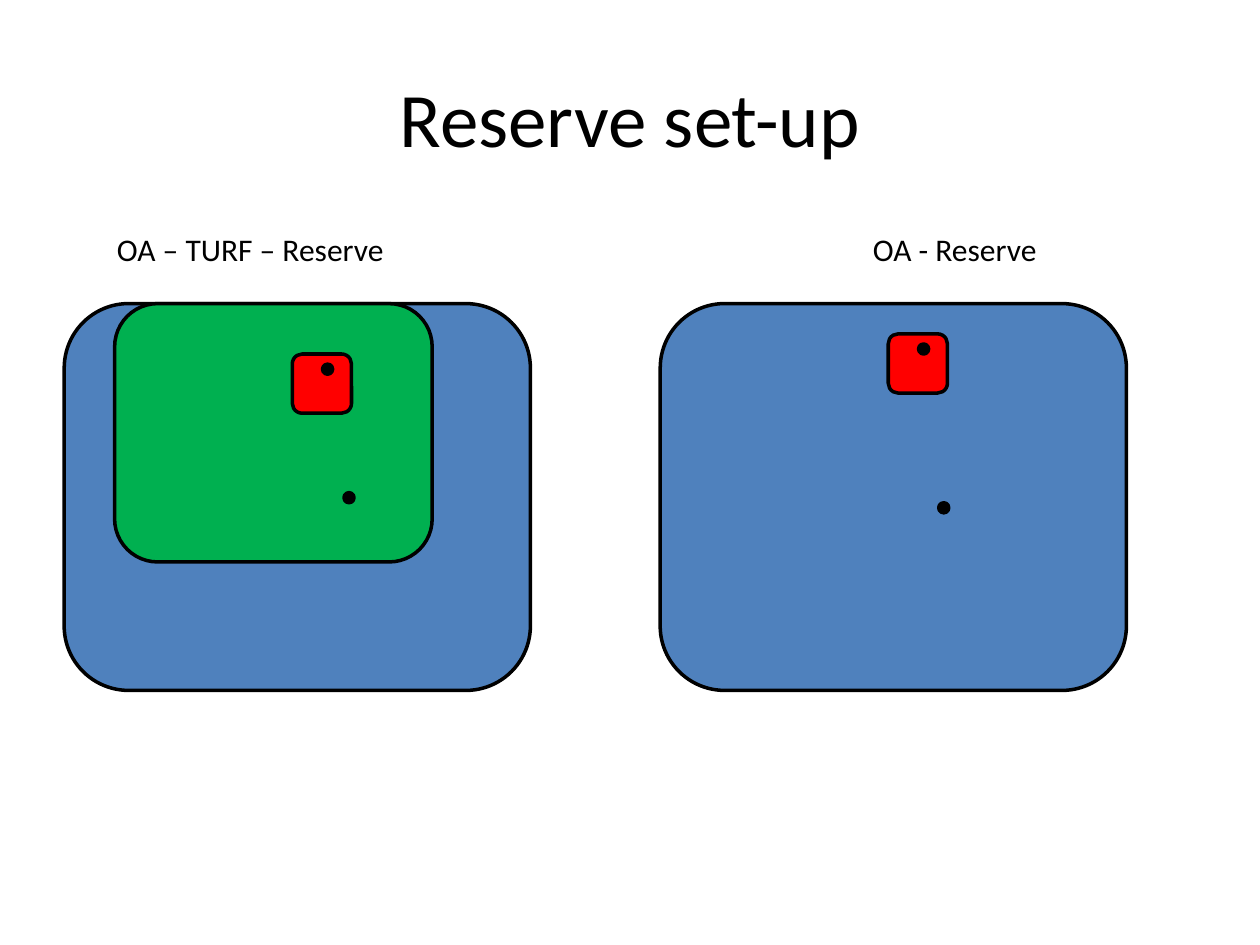
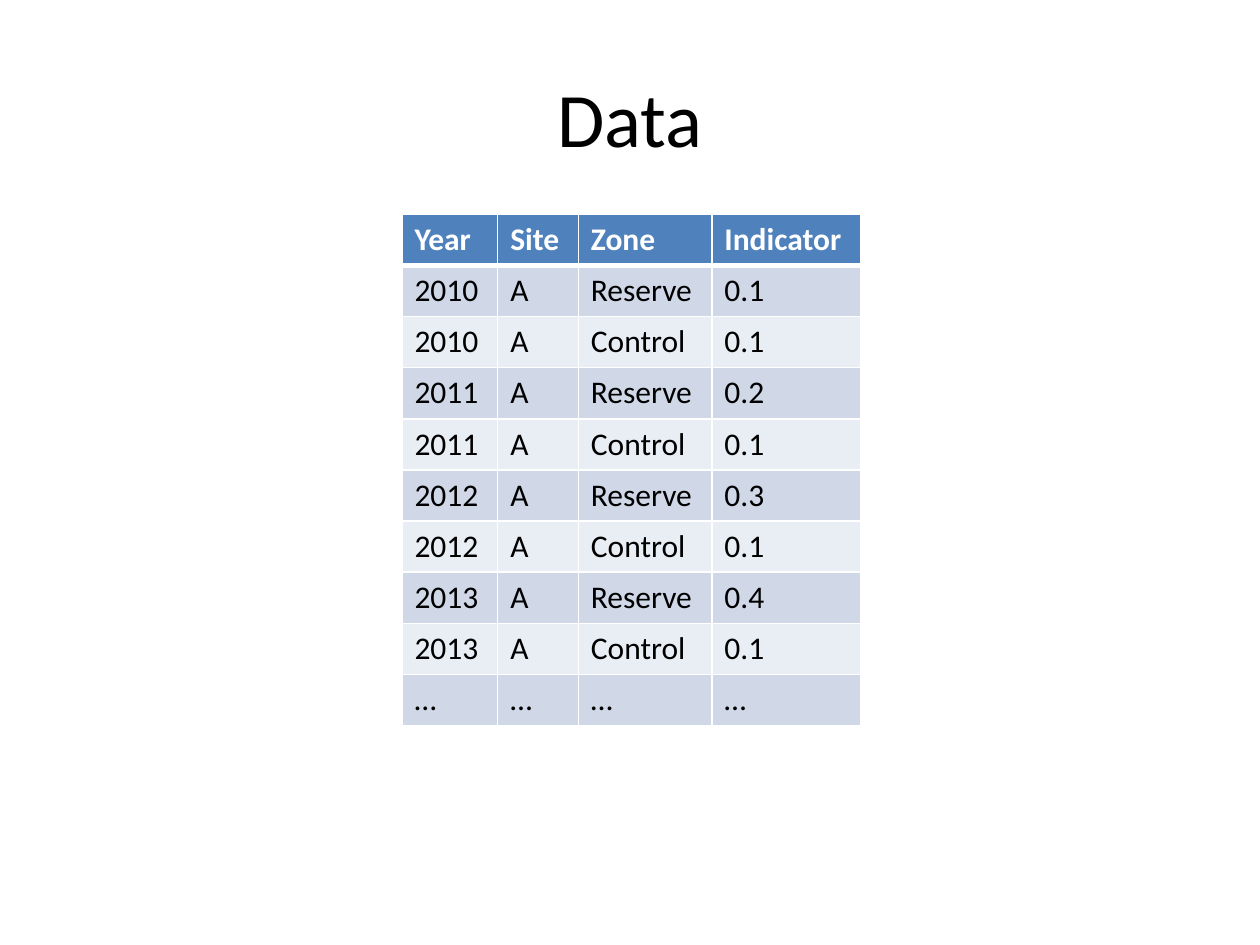
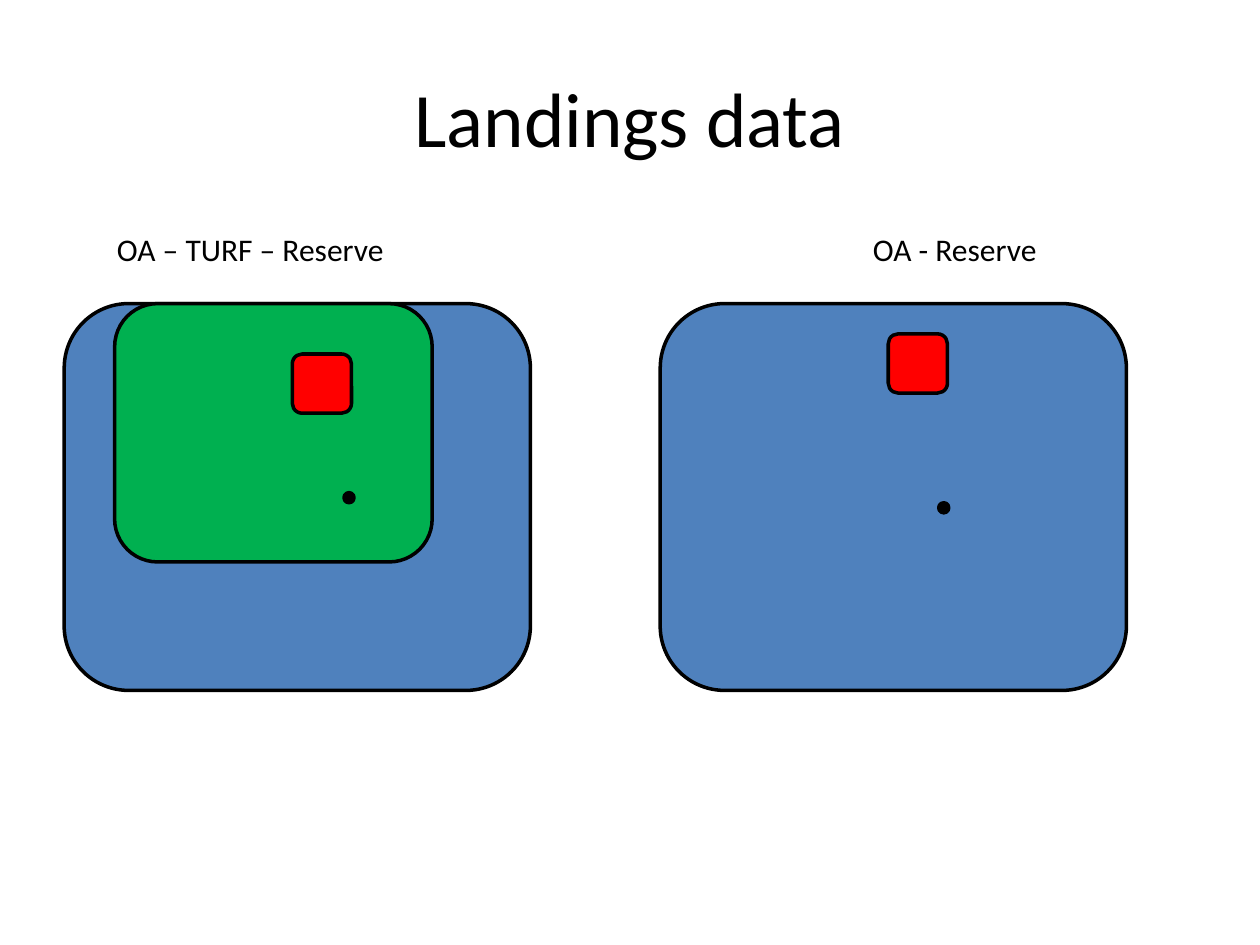
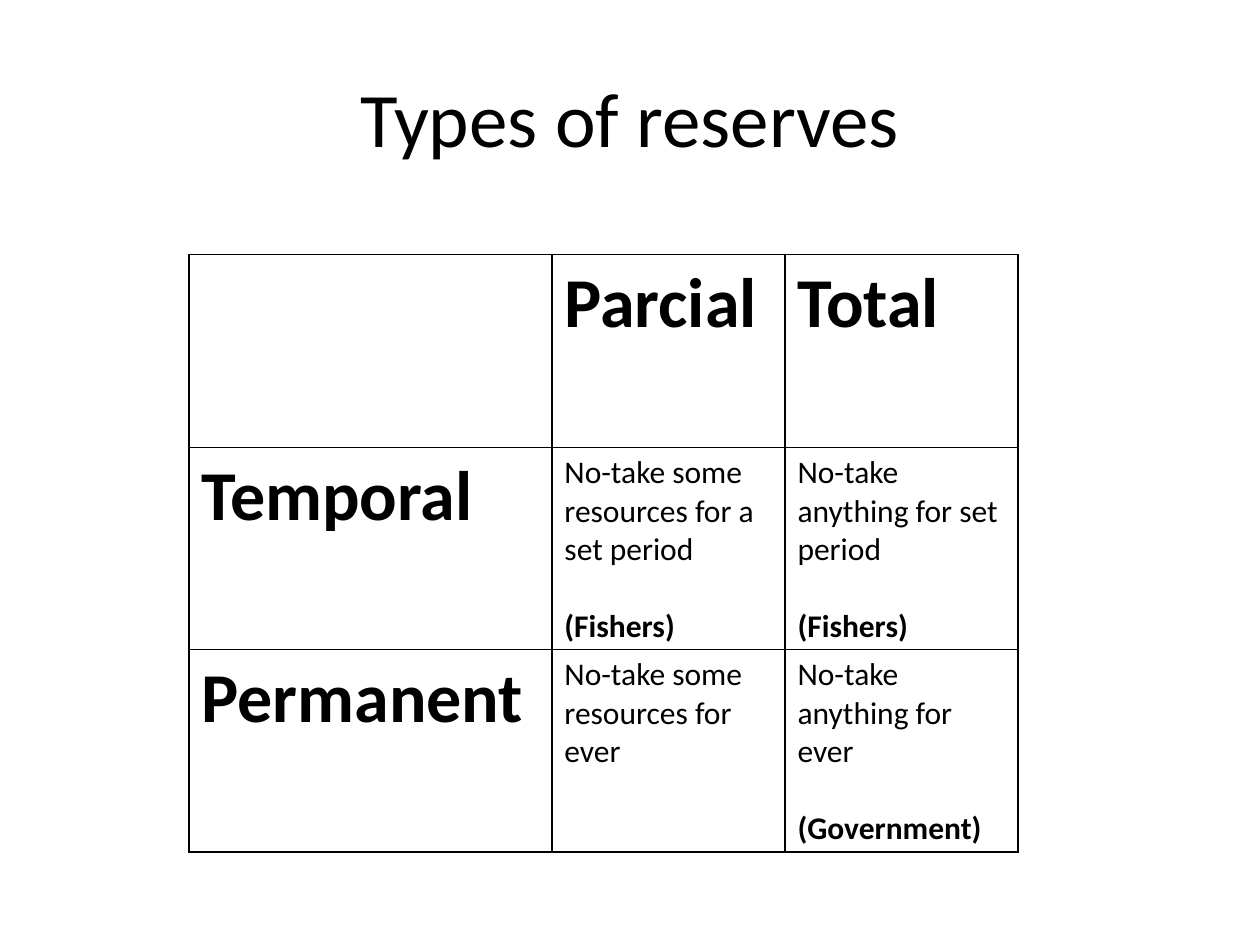
from lxml import etree
from pptx import Presentation
from pptx.dml.color import RGBColor
from pptx.enum.shapes import MSO_SHAPE
from pptx.enum.text import MSO_ANCHOR, PP_ALIGN
from pptx.oxml.ns import qn
from pptx.util import Pt

PX = 9144  # EMU per px, at 100 px to the inch
FONT = "Calibri"

BLACK = RGBColor(0x00, 0x00, 0x00)
WHITE = RGBColor(0xFF, 0xFF, 0xFF)
BLUE = RGBColor(0x4F, 0x81, 0xBD)
GREEN = RGBColor(0x00, 0xB0, 0x50)
RED = RGBColor(0xFF, 0x00, 0x00)
BAND_DARK = RGBColor(0xD0, 0xD8, 0xE8)
BAND_LIGHT = RGBColor(0xE9, 0xED, 0xF4)

ZONE_HEADER = ("Year", "Site", "Zone", "Indicator")
RESERVE_BY_YEAR = {"2010": "0.1", "2011": "0.2", "2012": "0.3", "2013": "0.4"}
CONTROL_VALUE = "0.1"

# Each cell lists its paragraphs
RESERVE_TYPES = [
    [[], ["Parcial"], ["Total"]],
    [["Temporal"],
     ["No-take some resources for a set period", "(Fishers)"],
     ["No-take anything for set period", "(Fishers)"]],
    [["Permanent"],
     ["No-take some resources for ever"],
     ["No-take anything for ever", "(Government)"]],
]


def emu(*lengths):
    return [length * PX for length in lengths]


def style(paragraph, size, color=BLACK, bold=False):
    font = paragraph.font
    font.name, font.size, font.bold = FONT, Pt(size), bold
    font.color.rgb = color


def add_text(slide, box, text, size):
    frame = slide.shapes.add_textbox(*emu(*box)).text_frame
    frame.word_wrap = True
    frame.text = text
    style(frame.paragraphs[0], size)
    return frame


def add_titled_slide(prs, title):
    slide = prs.slides.add_slide(prs.slide_layouts[6])
    frame = add_text(slide, (50, 30, 900, 125), title, 44)
    frame.vertical_anchor = MSO_ANCHOR.MIDDLE
    frame.paragraphs[0].alignment = PP_ALIGN.CENTER
    return slide


def add_area(slide, kind, box, color):
    area = slide.shapes.add_shape(kind, *emu(*box))
    area.shadow.inherit = False
    area.fill.solid()
    area.fill.fore_color.rgb = color
    area.line.color.rgb = BLACK
    area.line.width = Pt(2)


def add_sea_map(slide, box, reserve_offset, control_offset, turf=None, sample_reserve=True):
    """Open-access water with a reserve, sampling sites and an optional TURF."""
    left, top, width, height = box
    add_area(slide, MSO_SHAPE.ROUNDED_RECTANGLE, box, BLUE)
    if turf:
        inset, turf_width, turf_height = turf
        add_area(slide, MSO_SHAPE.ROUNDED_RECTANGLE,
                 (left + inset, top, turf_width, turf_height), GREEN)
    reserve_x, reserve_y = left + reserve_offset[0], top + reserve_offset[1]
    add_area(slide, MSO_SHAPE.ROUNDED_RECTANGLE, (reserve_x, reserve_y, 47, 47), RED)

    # Sampling sites, measured from the reserve
    sites = [(24, 8)] if sample_reserve else []
    for dx, dy in sites + [control_offset]:
        add_area(slide, MSO_SHAPE.OVAL, (reserve_x + dx, reserve_y + dy, 8, 8), BLACK)


def add_map_captions(slide, box, tab):
    frame = add_text(slide, box, "OA – TURF – Reserve\tOA - Reserve", 18)
    properties = frame.paragraphs[0]._p.get_or_add_pPr()
    stops = etree.Element(qn("a:tabLst"))
    etree.SubElement(stops, qn("a:tab"), pos=str(tab * PX), algn="l")
    properties.insert(0, stops)


def build_map_slide(prs, title, sample_reserve):
    slide = add_titled_slide(prs, title)
    add_sea_map(slide, (51, 241, 370, 307), (181, 40), (41, 110),
                turf=(40, 252, 205), sample_reserve=sample_reserve)
    add_sea_map(slide, (524, 241, 370, 307), (181, 24), (40, 134),
                sample_reserve=sample_reserve)
    add_map_captions(slide, (83, 178, 843, 40), tab=600)


def set_borders(cell, color, bottom=1):
    properties = cell._tc.get_or_add_tcPr()
    widths = {"a:lnL": 1, "a:lnR": 1, "a:lnT": 1, "a:lnB": bottom}
    for position, (tag, width) in enumerate(widths.items()):
        line = etree.Element(qn(tag), w=str(Pt(width)))
        fill = etree.SubElement(line, qn("a:solidFill"))
        etree.SubElement(fill, qn("a:srgbClr"), val=str(color))
        properties.insert(position, line)


def add_grid(slide, left, top, height, column_widths, row_count):
    box = emu(left, top, sum(column_widths), height)
    table = slide.shapes.add_table(row_count, len(column_widths), *box).table
    for column, width in zip(table.columns, column_widths):
        column.width = width * PX
    return table


def build_data_slide(prs):
    slide = add_titled_slide(prs, "Data")
    rows = [ZONE_HEADER]
    for year, value in RESERVE_BY_YEAR.items():
        rows += [(year, "A", "Reserve", value), (year, "A", "Control", CONTROL_VALUE)]
    rows.append(("…",) * len(ZONE_HEADER))

    table = add_grid(slide, 319, 170, 406, (76, 64, 106, 118), len(rows))
    for r, row in enumerate(rows):
        header = r == 0
        band = BLUE if header else BAND_DARK if r % 2 else BAND_LIGHT
        for c, text in enumerate(row):
            cell = table.cell(r, c)
            cell.text = text
            style(cell.text_frame.paragraphs[0], 18, WHITE if header else BLACK, header)
            cell.fill.solid()
            cell.fill.fore_color.rgb = band
            set_borders(cell, WHITE, bottom=3 if header else 1)


def build_types_slide(prs):
    slide = add_titled_slide(prs, "Types of reserves")
    table = add_grid(slide, 150, 202, 459, (288, 185, 185), len(RESERVE_TYPES))
    table.first_row = table.horz_banding = False
    for r, row in enumerate(RESERVE_TYPES):
        for c, lines in enumerate(row):
            cell = table.cell(r, c)
            cell.text = "\n".join(lines)
            heading = r == 0 or c == 0
            for n, paragraph in enumerate(cell.text_frame.paragraphs):
                authority = n > 0
                style(paragraph, 40 if heading else 18, bold=heading or authority)
                if authority:
                    paragraph.space_before = Pt(22)
            cell.fill.background()
            set_borders(cell, BLACK)


def main():
    prs = Presentation()
    prs.slide_width, prs.slide_height = emu(1000, 750)
    build_map_slide(prs, "Reserve set-up", sample_reserve=True)
    build_data_slide(prs)
    build_map_slide(prs, "Landings data", sample_reserve=False)
    build_types_slide(prs)
    prs.save("out.pptx")


if __name__ == "__main__":
    main()
